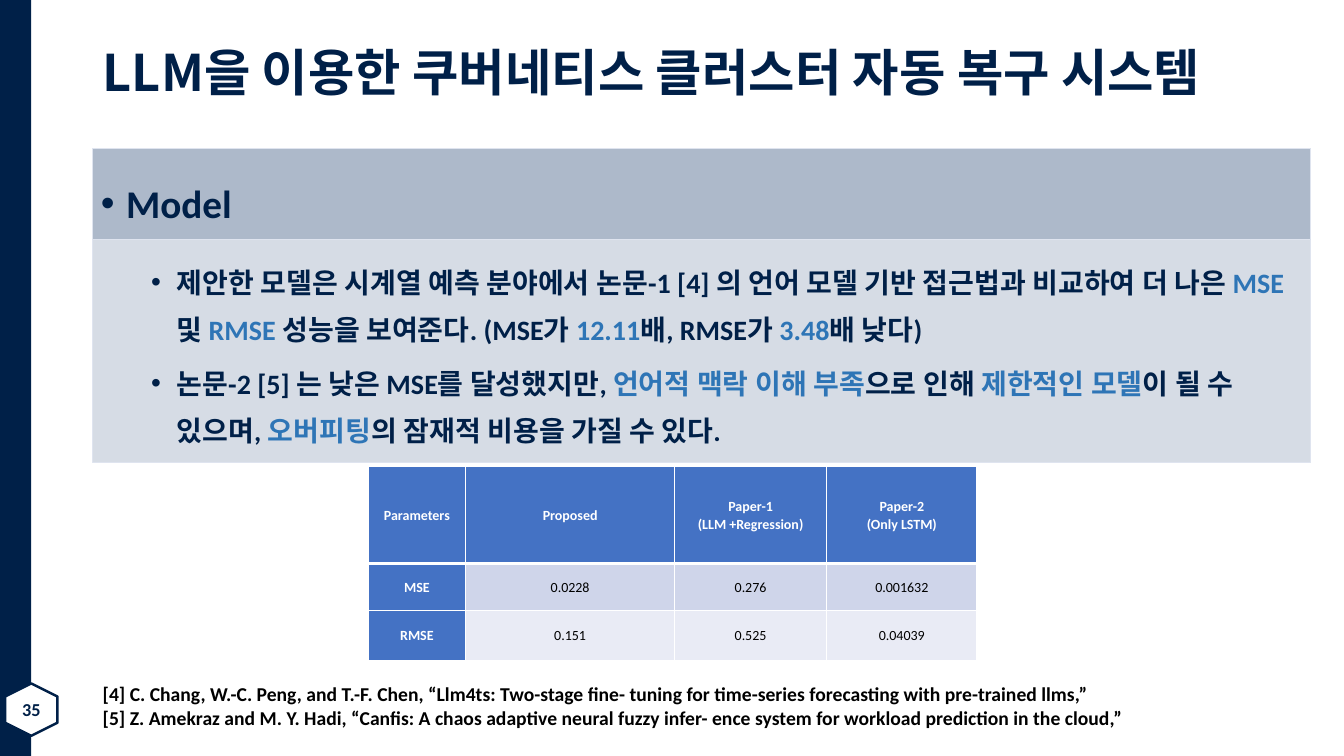
from lxml.etree import SubElement
from pptx import Presentation
from pptx.dml.color import RGBColor
from pptx.enum.shapes import MSO_SHAPE
from pptx.enum.text import MSO_ANCHOR, MSO_AUTO_SIZE, PP_ALIGN
from pptx.oxml import parse_xml
from pptx.oxml.ns import nsdecls, qn
from pptx.util import Inches, Pt

COLORS = {
    "navy": "002048", "accent": "2E75B6", "white": "FFFFFF", "black": "000000",
    "header": "ADB9CA", "panel": "D6DCE5", "edge": "DFE4EF",
    "table": "4472C4", "band1": "CFD5EA", "band2": "E9EBF5",
}
LEFT = 0.92
TITLE = "LLM을 이용한 쿠버네티스 클러스터 자동 복구 시스템"
POINTS = [
    ["제안한 모델은 시계열 예측 분야에서 논문-1 [4] 의 언어 모델 기반 접근법과 비교하여 더 나은 ",
     "MSE ", "및 ", "RMSE ", "성능을 보여준다. (MSE가 ", "12.11", "배, RMSE가 ", "3.48", "배 낮다)"],
    ["논문-2 [5] 는 낮은 MSE를 달성했지만, ", "언어적 맥락 이해 부족", "으로 인해 ",
     "제한적인 모델", "이 될 수 있으며, ", "오버피팅", "의 잠재적 비용을 가질 수 있다."],
]
RESULTS = [
    ["Parameters", "Proposed", "Paper-1\n(LLM +Regression)", "Paper-2\n(Only LSTM)"],
    ["MSE", "0.0228", "0.276", "0.001632"],
    ["RMSE", "0.151", "0.525", "0.04039"],
]
REFERENCES = [
    "[4] C. Chang, W.-C. Peng, and T.-F. Chen, “Llm4ts: Two-stage fine- tuning for time-series forecasting with pre-trained llms,”",
    "[5] Z. Amekraz and M. Y. Hadi, “Canfis: A chaos adaptive neural fuzzy infer- ence system for workload prediction in the cloud,”",
]


def rgb(name):
    return RGBColor.from_string(COLORS[name])


class SlideBuilder:
    def __init__(self, prs):
        self.s = prs.slides.add_slide(prs.slide_layouts[1])

    def place(self, sp, box):
        sp.left, sp.top, sp.width, sp.height = map(Inches, box)

    def paint(self, sp, fill, line=None, width=0.75):
        sp.fill.solid()
        sp.fill.fore_color.rgb = rgb(fill)
        if line:
            sp.line.color.rgb = rgb(line)
            sp.line.width = Pt(width)
        else:
            sp.line.fill.background()

    def style(self, r, size, color, bold=True, font="Calibri"):
        r.font.size, r.font.bold, r.font.name = Pt(size), bold, font
        r.font.color.rgb = rgb(color)
        SubElement(r.font._element, qn("a:ea")).set("typeface", font)

    def style_all(self, tf, size, color, bold=True, font="Calibri", align=PP_ALIGN.LEFT):
        for p in tf.paragraphs:
            p.alignment = align
            for r in p.runs:
                self.style(r, size, color, bold, font)

    def shape(self, kind, box, fill, line=None, width=0.75, rotation=0):
        sp = self.s.shapes.add_shape(kind, *map(Inches, box))
        sp.shadow.inherit = False
        sp.rotation = rotation
        self.paint(sp, fill, line, width)
        return sp

    def title(self, text, box):
        sp = self.s.shapes.title
        self.place(sp, box)
        tf = sp.text_frame
        tf.text = text
        tf.auto_size = MSO_AUTO_SIZE.NONE
        tf.vertical_anchor = MSO_ANCHOR.MIDDLE
        tf.paragraphs[0].line_spacing = 0.9
        self.style_all(tf, 36, "navy", font="Noto Sans CJK KR")

    def text(self, lines, box, size, color, align=PP_ALIGN.LEFT, anchor=MSO_ANCHOR.TOP):
        tf = self.s.shapes.add_textbox(*map(Inches, box)).text_frame
        tf.word_wrap = True
        tf.vertical_anchor = anchor
        tf.text = "\n".join(lines)
        self.style_all(tf, size, color, align=align)

    def bullets(self, sp, items, size, margin, level=0):
        tf = sp.text_frame
        tf.word_wrap = True
        tf.auto_size = MSO_AUTO_SIZE.NONE
        tf.vertical_anchor = MSO_ANCHOR.TOP
        tf.margin_left, tf.margin_top = Inches(0.08), Inches(0.12)
        tf.margin_right, tf.margin_bottom = Inches(0.1), Inches(0.05)
        for i, parts in enumerate(items):
            p = tf.add_paragraph() if i else tf.paragraphs[0]
            p.level = level
            p.alignment = PP_ALIGN.LEFT
            pPr = p._p.get_or_add_pPr()
            pPr.set("marL", str(Inches(margin)))
            pPr.set("indent", str(Inches(-0.25)))
            SubElement(pPr, qn("a:buFont")).set("typeface", "Arial")
            SubElement(pPr, qn("a:buChar")).set("char", "•")
            p.line_spacing = 1.4
            p.space_before = Pt(5 if i else 0)
            for j, part in enumerate(parts):
                r = p.add_run()
                r.text = part
                self.style(r, size, "accent" if j % 2 else "navy")

    def body(self, items, box):
        sp = self.s.placeholders[1]
        self.place(sp, box)
        self.paint(sp, "panel", "edge")
        self.bullets(sp, items, 20, 0.75, level=1)

    def borders(self, cell, bottom):
        tcPr = cell._tc.get_or_add_tcPr()
        for i, side in enumerate("LRTB"):
            width = Pt(bottom if side == "B" else 1)
            tcPr.insert(i, parse_xml(
                f'<a:ln{side} {nsdecls("a")} w="{width}"><a:solidFill>'
                f'<a:srgbClr val="{COLORS["white"]}"/></a:solidFill></a:ln{side}>'))

    def table(self, data, box, widths, heights):
        table = self.s.shapes.add_table(len(data), len(data[0]), *map(Inches, box)).table
        table.first_col = True
        for column, width in zip(table.columns, widths):
            column.width = Inches(width)
        for i, (values, height) in enumerate(zip(data, heights)):
            table.rows[i].height = Inches(height)
            for j, value in enumerate(values):
                cell = table.cell(i, j)
                heading = i == 0 or j == 0
                cell.text = value
                cell.vertical_anchor = MSO_ANCHOR.MIDDLE
                cell.margin_left = cell.margin_right = Inches(0.07)
                cell.margin_top = cell.margin_bottom = 0
                cell.fill.solid()
                cell.fill.fore_color.rgb = rgb("table" if heading else f"band{i}")
                self.borders(cell, 1 if i else 3)
                tf = cell.text_frame
                self.style_all(tf, 10, "white" if heading else "black", heading,
                               align=PP_ALIGN.CENTER)
                for p in tf.paragraphs:
                    p.line_spacing = Pt(13)


def main():
    prs = Presentation()
    prs.slide_width, prs.slide_height = Inches(13.33), Inches(7.5)
    b = SlideBuilder(prs)
    b.shape(MSO_SHAPE.RECTANGLE, (0, 0, 0.31, 7.5), "navy")
    b.shape(MSO_SHAPE.HEXAGON, (0.05, 6.78, 0.52, 0.52), "white", "navy", 1.75, 90)
    b.title(TITLE, (LEFT, 0.02, 12.27, 1.45))
    b.text(["35"], (0.1, 6.83, 0.42, 0.42), 13, "navy", PP_ALIGN.CENTER, MSO_ANCHOR.MIDDLE)
    b.body(POINTS, (LEFT, 2.38, 12.08, 2.21))
    header = b.shape(MSO_SHAPE.RECTANGLE, (LEFT, 1.47, 12.08, 0.91), "header", "edge")
    b.bullets(header, [["Model"]], 28, 0.25)
    b.table(RESULTS, (3.65, 4.63, 6.04, 1.92), (0.97, 2.07, 1.51, 1.49), (0.96, 0.47, 0.49))
    b.text(REFERENCES, (LEFT, 6.72, 12.4, 0.57), 14, "black")
    prs.save("out.pptx")


if __name__ == "__main__":
    main()
